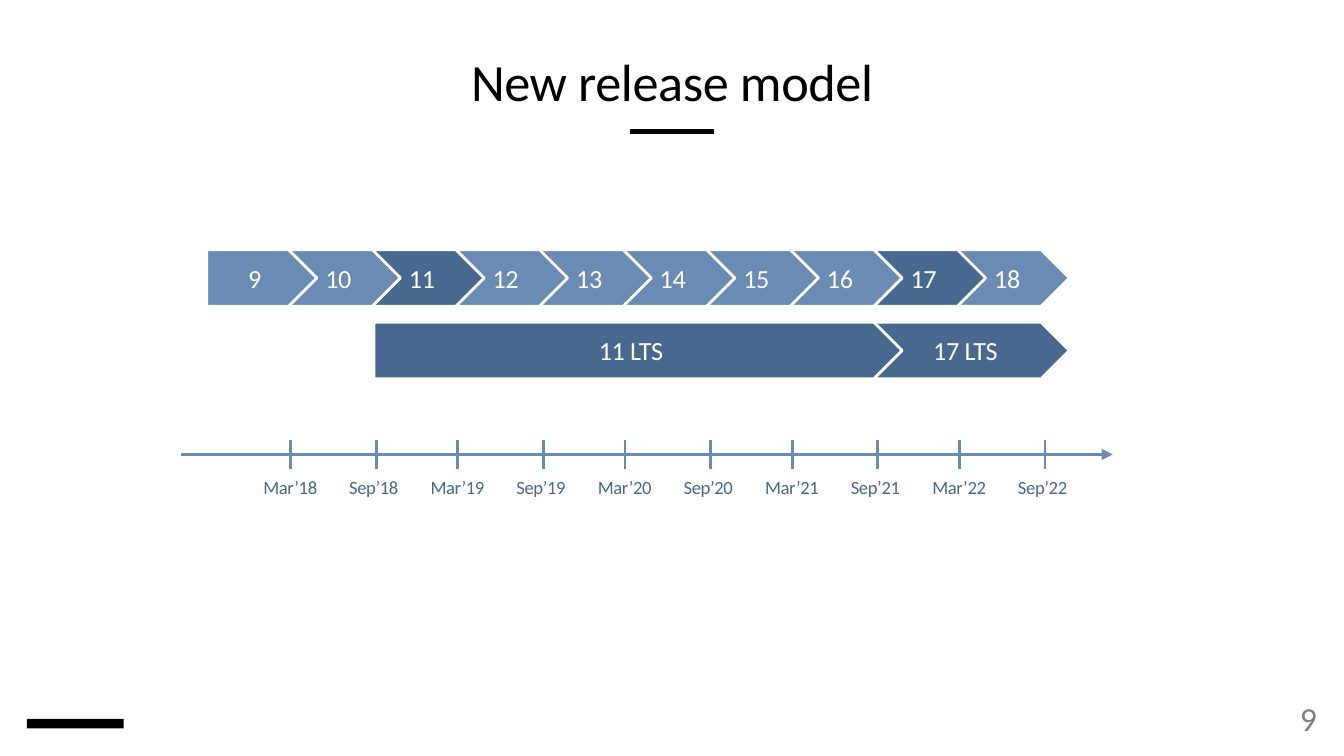
from pptx import Presentation
from pptx.dml.color import RGBColor
from pptx.enum.shapes import MSO_CONNECTOR, MSO_SHAPE
from pptx.enum.text import MSO_ANCHOR, MSO_AUTO_SIZE, PP_ALIGN
from pptx.oxml.ns import qn
from pptx.util import Cm, Pt

BLACK, WHITE, GREY = "000000", "FFFFFF", "808080"
LIGHT_BLUE, DARK_BLUE = "6A8CB4", "48688F"
FONT = "Calibri"

RELEASES = range(9, 19)
LTS_RELEASES = (11, 17)
RELEASE_STEP, RELEASE_WIDTH = 1.58, 2.08
ARROW_HEIGHT = 1.07
YEARS = range(18, 23)
YEAR_STEP = 3.16


def color(value):
    return RGBColor.from_string(value)


def add_span(frame, text, size, fill, align, spacing=None):
    """Write one run into the first paragraph of a text frame."""
    para = frame.paragraphs[0]
    para.alignment = align
    span = para.add_run()
    span.text = text
    span.font.size = Pt(size)
    span.font.name = FONT
    span.font.color.rgb = color(fill)
    if spacing is not None:
        span.font._element.set("spc", str(spacing))
    return para


def clear_margins(frame):
    frame.margin_left = frame.margin_right = 0
    frame.margin_top = frame.margin_bottom = 0


def add_line(page, x1, y1, x2, y2, stroke, width, arrow=False):
    line = page.shapes.add_connector(
        MSO_CONNECTOR.STRAIGHT, Cm(x1), Cm(y1), Cm(x2), Cm(y2))
    line.line.color.rgb = color(stroke)
    line.line.width = Pt(width)
    properties = line._element.spPr
    if arrow:
        outline = properties.find(qn("a:ln"))
        head = outline.makeelement(qn("a:tailEnd"), {"type": "triangle"})
        outline.append(head)
    properties.append(properties.makeelement(qn("a:effectLst"), {}))


def add_title(page, left, top, width, height):
    title = page.shapes.title
    title.left, title.top = Cm(left), Cm(top)
    title.width, title.height = Cm(width), Cm(height)
    frame = title.text_frame
    clear_margins(frame)
    frame.auto_size = MSO_AUTO_SIZE.NONE
    frame.vertical_anchor = MSO_ANCHOR.BOTTOM
    para = add_span(frame, "New release model", 28, BLACK, PP_ALIGN.CENTER, -20)
    para.line_spacing = 0.9
    # Short rule centred below the title
    middle, rule_y = left + width / 2, top + height + 0.36
    add_line(page, middle - 0.79, rule_y, middle + 0.79, rule_y, BLACK, 3)


def add_release_arrow(page, left, top, first, last, text, fill):
    """Draw an arrow that covers the releases from first to last."""
    start = left + (first - RELEASES[0]) * RELEASE_STEP
    width = (last - first) * RELEASE_STEP + RELEASE_WIDTH
    box = page.shapes.add_shape(
        MSO_SHAPE.PENTAGON, Cm(start), Cm(top), Cm(width), Cm(ARROW_HEIGHT))
    box.shadow.inherit = False
    box.fill.solid()
    box.fill.fore_color.rgb = color(fill)
    box.line.color.rgb = color(WHITE)
    box.line.width = Pt(1.5)
    box.text_frame.vertical_anchor = MSO_ANCHOR.MIDDLE
    add_span(box.text_frame, text, 14, WHITE, PP_ALIGN.CENTER, -20)


def add_releases(page, left, top):
    # Right to left, so that each arrow point lies over the next arrow
    for release in reversed(RELEASES):
        fill = DARK_BLUE if release in LTS_RELEASES else LIGHT_BLUE
        add_release_arrow(page, left, top, release, release, str(release), fill)
    # Long-term support row
    last = RELEASES[-1]
    for release in reversed(LTS_RELEASES):
        add_release_arrow(page, left, top + 1.37, release, last,
                          f"{release} LTS", DARK_BLUE)
        last = release - 1


def add_timeline(page, left, axis_y, width):
    add_line(page, left, axis_y, left + width, axis_y, LIGHT_BLUE, 1.5, arrow=True)
    for index, year in enumerate(YEARS):
        for month, offset, label_width in (("Mar", 2.06, 1.52), ("Sep", 3.68, 1.45)):
            x = left + offset + index * YEAR_STEP
            add_line(page, x, axis_y - 0.28, x, axis_y + 0.27, LIGHT_BLUE, 1.5)
            label = page.shapes.add_textbox(
                Cm(x - 0.76), Cm(axis_y + 0.28), Cm(label_width), Cm(0.68))
            label.text_frame.word_wrap = False
            add_span(label.text_frame, f"{month}’{year}", 10, DARK_BLUE,
                     PP_ALIGN.LEFT, -20)


def add_footer(page, left, top, width, height):
    # Plain bar in the logo position
    mark = page.shapes.add_shape(
        MSO_SHAPE.RECTANGLE, Cm(left), Cm(top + 0.38), Cm(1.83), Cm(0.18))
    mark.shadow.inherit = False
    mark.fill.solid()
    mark.fill.fore_color.rgb = color(BLACK)
    mark.line.fill.background()
    # Page number
    number = page.shapes.add_textbox(
        Cm(left + width - 1.17), Cm(top), Cm(1.17), Cm(height))
    frame = number.text_frame
    clear_margins(frame)
    frame.word_wrap = False
    frame.vertical_anchor = MSO_ANCHOR.BOTTOM
    add_span(frame, "9", 18, GREY, PP_ALIGN.RIGHT)


def main():
    deck = Presentation()
    deck.slide_width, deck.slide_height = Cm(25.4), Cm(14.29)
    page = deck.slides.add_slide(deck.slide_layouts[5])
    add_title(page, 0.51, 0.53, 24.38, 1.6)
    add_releases(page, 3.91, 4.72)
    add_timeline(page, 3.43, 8.59, 17.6)
    add_footer(page, 0.51, 13.21, 24.38, 0.74)
    deck.save("out.pptx")


if __name__ == "__main__":
    main()
